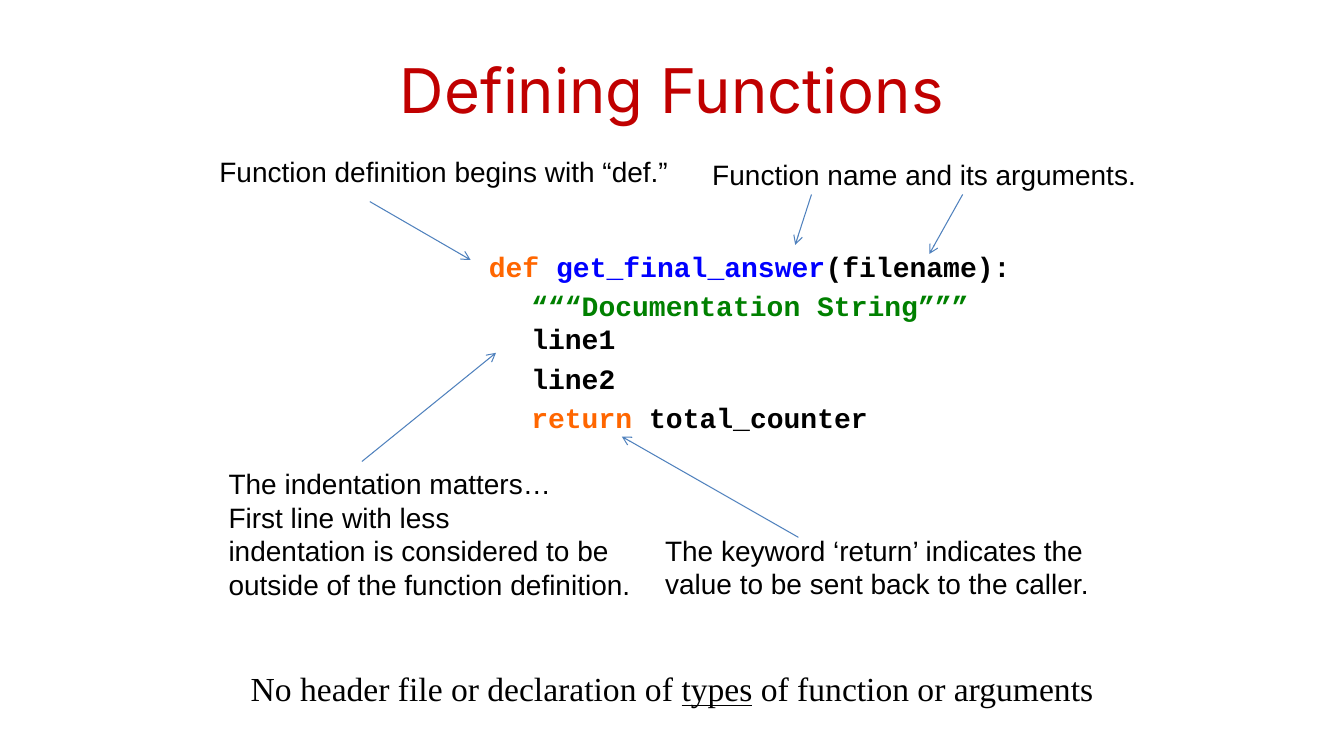
from lxml import etree
from pptx import Presentation
from pptx.dml.color import RGBColor
from pptx.enum.shapes import MSO_CONNECTOR
from pptx.enum.text import MSO_ANCHOR, PP_ALIGN
from pptx.oxml.ns import qn
from pptx.util import Cm, Pt

BLACK, ORANGE, BLUE, GREEN = "000000", "FF6600", "0000FF", "008000"


def color(hex_code):
    """Turn a hex string into a colour."""
    return RGBColor.from_string(hex_code)


def add_run(paragraph, text, font, size, ink=BLACK, bold=False, underline=False):
    """Append a formatted run to a paragraph."""
    run = paragraph.add_run()
    run.text = text
    run.font.name, run.font.size = font, Pt(size)
    run.font.bold, run.font.underline = bold, underline
    run.font.color.rgb = color(ink)


def add_frame(slide, box, wrap=True):
    """Add a text box and return its text frame."""
    frame = slide.shapes.add_textbox(*map(Cm, box)).text_frame
    frame.word_wrap = wrap
    return frame


def add_paragraphs(frame, count):
    """Yield the first paragraph and then new ones up to the count."""
    for index in range(count):
        yield frame.add_paragraph() if index else frame.paragraphs[0]


def add_arrow(slide, x1, y1, x2, y2):
    """Draw a thin arrow with an open head at its end."""
    arrow = slide.shapes.add_connector(
        MSO_CONNECTOR.STRAIGHT, Cm(x1), Cm(y1), Cm(x2), Cm(y2))
    arrow.line.color.rgb = color("4F81BD")
    arrow.line.width = Pt(0.75)
    etree.SubElement(arrow.line._get_or_add_ln(), qn("a:tailEnd"), type="arrow")
    etree.SubElement(arrow._element.spPr, qn("a:effectLst"))


def add_title(slide, box, text):
    """Place and format the title placeholder."""
    title = slide.shapes.title
    title.left, title.top, title.width, title.height = map(Cm, box)
    frame = title.text_frame
    frame.vertical_anchor = MSO_ANCHOR.MIDDLE
    frame.paragraphs[0].alignment = PP_ALIGN.CENTER
    add_run(frame.paragraphs[0], text, "Inter", 44, "C00000")


def add_note(slide, box, lines, arrows):
    """Write a note and draw its arrows, given relative to the note's corner."""
    frame = add_frame(slide, box, wrap=False)
    for paragraph, line in zip(add_paragraphs(frame, len(lines)), lines):
        add_run(paragraph, line, "Arial", 20)
    left, top = box[:2]
    for x1, y1, x2, y2 in arrows:
        add_arrow(slide, left + x1, top + y1, left + x2, top + y2)


def add_code(slide, box, lines):
    """Write code lines, each an indent in cm, a space before and coloured parts."""
    frame = add_frame(slide, box)
    for paragraph, line in zip(add_paragraphs(frame, len(lines)), lines):
        indent, space, parts = line
        paragraph.space_before = Pt(space)
        paragraph._p.get_or_add_pPr().set("marL", str(Cm(indent)))
        for text, ink in parts:
            add_run(paragraph, text, "Courier New", 20, ink, bold=True)


def add_remark(slide, box, parts):
    """Write the centred closing remark from text and underline pairs."""
    paragraph = add_frame(slide, box).paragraphs[0]
    paragraph.alignment = PP_ALIGN.CENTER
    for text, underline in parts:
        add_run(paragraph, text, "Times New Roman", 24, underline=underline)


NOTES = [
    ((17.7, 3.84, 11.28, 1.12), ["Function name and its arguments."],
     [(2.75, 1.06, 2.34, 2.33), (6.56, 1.06, 5.72, 2.56)]),
    ((5.28, 3.78, 12.17, 1.12), ["Function definition begins with “def.”"],
     [(4.04, 1.3, 6.58, 2.77)]),
    ((16.51, 13.31, 11.76, 1.96),
     ["The keyword ‘return’ indicates the", "value to be sent back to the caller."],
     [(3.61, 0.23, -0.84, -2.31)]),
    ((5.51, 11.63, 10.72, 3.68),
     ["The indentation matters…", "First line with less",
      "indentation is considered to be", "outside of the function definition."],
     [(3.61, 0, 6.99, -2.74)]),
]
OUTER, INNER = 2.54, 3.61
CODE = [
    (OUTER, 4, [("def ", ORANGE), ("get_final_answer", BLUE), ("(filename):", BLACK)]),
    (INNER, 4, [("“““Documentation String”””", GREEN)]),
    (INNER, 0, [("line1", BLACK)]),
    (INNER, 4, [("line2", BLACK)]),
    (INNER, 4, [("return ", ORANGE), ("total_counter", BLACK)]),
]
REMARK = [("No header file or declaration of ", False), ("types", True),
          (" of function or arguments", False)]

deck = Presentation()
deck.slide_width, deck.slide_height = Cm(33.87), Cm(19.05)
page = deck.slides.add_slide(deck.slide_layouts[5])
add_title(page, (1.7, 0.66, 30.48, 3.18), "Defining Functions")
for note in NOTES:
    add_note(page, *note)
add_code(page, (9.53, 6.15, 17.98, 3.81), CODE)
add_remark(page, (5.08, 16.71, 23.71, 2.11), REMARK)
deck.save("out.pptx")
